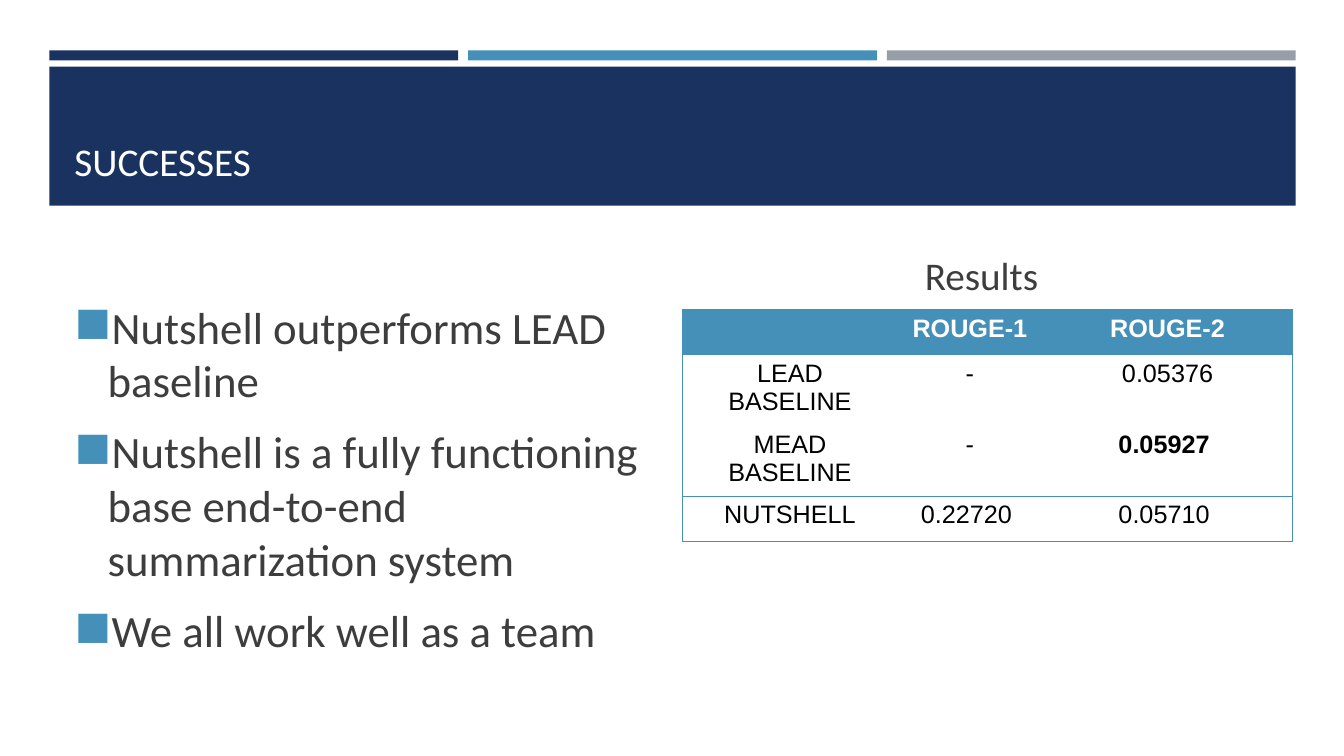
from lxml import etree
from pptx import Presentation
from pptx.dml.color import RGBColor
from pptx.enum.shapes import MSO_SHAPE
from pptx.enum.text import MSO_ANCHOR, PP_ALIGN
from pptx.oxml.ns import qn
from pptx.util import Inches, Pt

RECTANGLE = MSO_SHAPE.RECTANGLE
TOP, BOTTOM = MSO_ANCHOR.TOP, MSO_ANCHOR.BOTTOM
LEFT, CENTER = PP_ALIGN.LEFT, PP_ALIGN.CENTER

TITLE = "SUCCESSES"
POINTS = [
    "Nutshell outperforms LEAD baseline",
    "Nutshell is a fully functioning base end-to-end summarization system",
    "We all work well as a team",
]
RESULTS_HEADING = "Results"
RESULTS = [
    ["", "ROUGE-1", "ROUGE-2"],
    ["LEAD BASELINE", "-", "0.05376"],
    ["MEAD BASELINE", "-", "0.05927 "],
    ["NUTSHELL", "0.22720 ", "0.05710 "],
]
BEST_SCORE = (2, 2)
RULED_ABOVE = {0, 1, 3}  # result rows with a line over them

COLORS = {
    "navy": "1A3260",
    "blue": "4590B8",
    "gray": "969FA7",
    "text": "3D3D3D",
    "white": "FFFFFF",
    "black": "000000",
}
STRIPES = ["navy", "blue", "gray"]

# Layout in inches
SLIDE_WIDTH, SLIDE_HEIGHT = 13.33, 7.5
BAND_LEFT, BAND_WIDTH = 0.49, 12.36
STRIPE_GAP = 0.1
STRIPE_WIDTH = (BAND_WIDTH - STRIPE_GAP * (len(STRIPES) - 1)) / len(STRIPES)
BODY_LEFT, BODY_WIDTH, COLUMN_GAP = 0.64, 5.93, 0.2
RESULTS_LEFT = BODY_LEFT + BODY_WIDTH + COLUMN_GAP
RESULT_COLUMNS = [2.13, 1.44, 2.48]
RESULT_ROW = 0.45
BULLET_INDENT = 0.33


def rgb(color):
    return RGBColor.from_string(COLORS[color])


def set_font(paragraph, face, size, color, bold=False):
    font = paragraph.font
    font.name, font.size, font.bold = face, Pt(size), bold
    font.color.rgb = rgb(color)


def add_bar(slide, left, top, width, height, color):
    bar = slide.shapes.add_shape(
        RECTANGLE, Inches(left), Inches(top), Inches(width), Inches(height))
    bar.shadow.inherit = False
    bar.fill.solid()
    bar.fill.fore_color.rgb = rgb(color)
    bar.line.fill.background()


def add_text(slide, box, lines, size, color, align=LEFT, anchor=TOP):
    frame = slide.shapes.add_textbox(*map(Inches, box)).text_frame
    frame.word_wrap = True
    frame.vertical_anchor = anchor
    frame.text = "\n".join(lines)
    for paragraph in frame.paragraphs:
        paragraph.alignment = align
        set_font(paragraph, "Calibri", size, color)
    return frame.paragraphs


def add_bullet(paragraph):
    properties = paragraph._p.get_or_add_pPr()
    properties.set("marL", str(Inches(BULLET_INDENT)))
    properties.set("indent", str(-Inches(BULLET_INDENT)))
    bullet_color = etree.SubElement(properties, qn("a:buClr"))
    etree.SubElement(bullet_color, qn("a:srgbClr"), val=COLORS["blue"])
    etree.SubElement(properties, qn("a:buChar"), char="◼")


def set_borders(cell, ruled_sides):
    """Rule the given sides (of L, R, T, B) and clear the others."""
    properties = cell._tc.get_or_add_tcPr()
    for position, side in enumerate("LRTB"):
        border = etree.Element(qn(f"a:ln{side}"), w=str(Pt(0.75)))
        if side in ruled_sides:
            fill = etree.SubElement(border, qn("a:solidFill"))
            etree.SubElement(fill, qn("a:srgbClr"), val=COLORS["blue"])
        else:
            etree.SubElement(border, qn("a:noFill"))
        properties.insert(position, border)


def add_results(slide):
    last_row, last_column = len(RESULTS) - 1, len(RESULT_COLUMNS) - 1
    table = slide.shapes.add_table(
        len(RESULTS), len(RESULT_COLUMNS), Inches(RESULTS_LEFT), Inches(3.07),
        Inches(sum(RESULT_COLUMNS)), Inches(RESULT_ROW * len(RESULTS))).table
    table.horz_banding = False
    for column, width in zip(table.columns, RESULT_COLUMNS):
        column.width = Inches(width)
    for r, values in enumerate(RESULTS):
        table.rows[r].height = Inches(RESULT_ROW)
        header = r == 0
        for c, value in enumerate(values):
            cell = table.cell(r, c)
            cell.text = value
            paragraph = cell.text_frame.paragraphs[0]
            paragraph.alignment = CENTER
            set_font(paragraph, "Arial", 18, "white" if header else "black",
                     header or (r, c) == BEST_SCORE)
            if header:
                cell.fill.solid()
                cell.fill.fore_color.rgb = rgb("blue")
            else:
                cell.fill.background()
            ruled = {
                "L": c == 0,
                "R": c == last_column,
                "T": r in RULED_ABOVE,
                "B": r == last_row or r + 1 in RULED_ABOVE,
            }
            set_borders(cell, [side for side in ruled if ruled[side]])


def main():
    presentation = Presentation()
    presentation.slide_width = Inches(SLIDE_WIDTH)
    presentation.slide_height = Inches(SLIDE_HEIGHT)
    slide = presentation.slides.add_slide(presentation.slide_layouts[6])

    for i, color in enumerate(STRIPES):
        add_bar(slide, BAND_LEFT + i * (STRIPE_WIDTH + STRIPE_GAP), 0.5,
                STRIPE_WIDTH, 0.1, color)
    add_bar(slide, BAND_LEFT, 0.66, BAND_WIDTH, 1.38, "navy")
    add_text(slide, (BODY_LEFT, 0.8, 12.06, 1.08), [TITLE], 28, "white",
             anchor=BOTTOM)

    points = add_text(slide, (BODY_LEFT, 2.92, BODY_WIDTH, 3.79), POINTS, 32,
                      "text")
    for i, point in enumerate(points):
        point.space_before = Pt(12.4 if i else 0)
        add_bullet(point)

    add_text(slide, (RESULTS_LEFT, 2.44, BODY_WIDTH, 0.58), [RESULTS_HEADING],
             28, "text", align=CENTER)
    add_results(slide)
    presentation.save("out.pptx")


if __name__ == "__main__":
    main()
